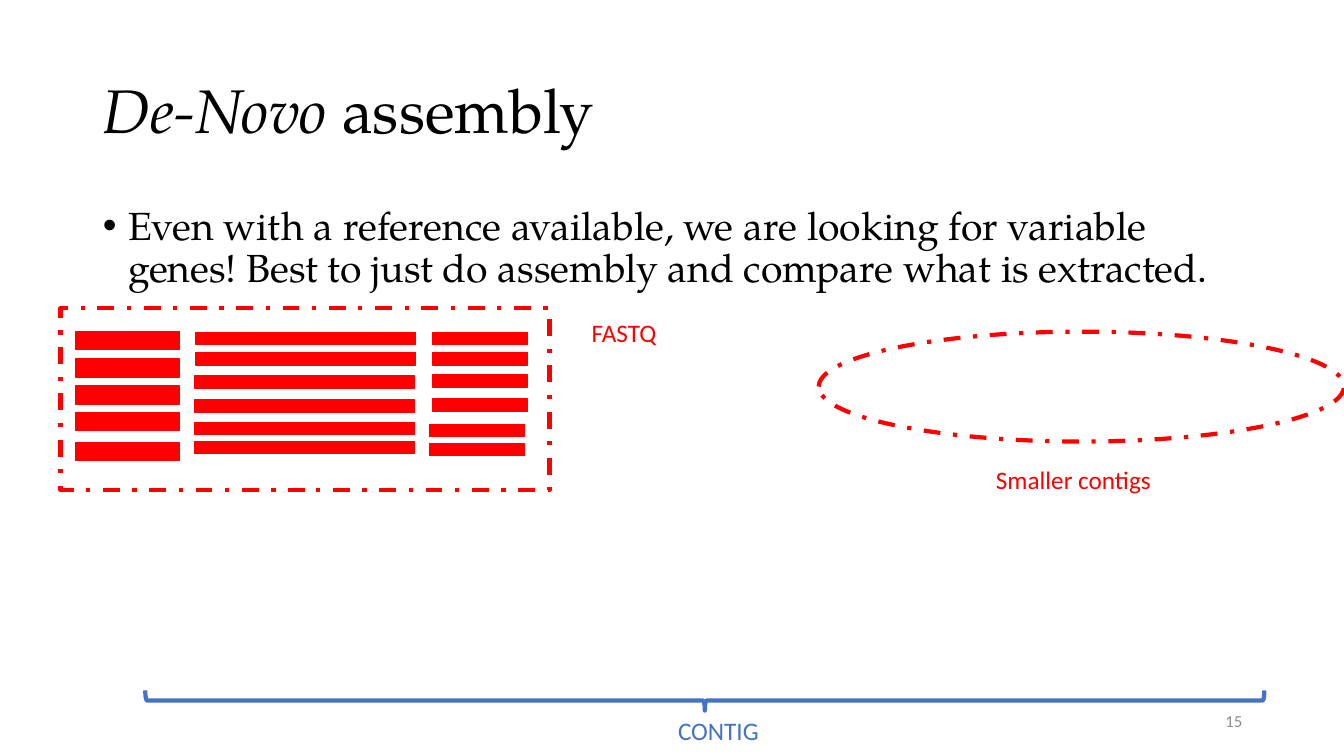
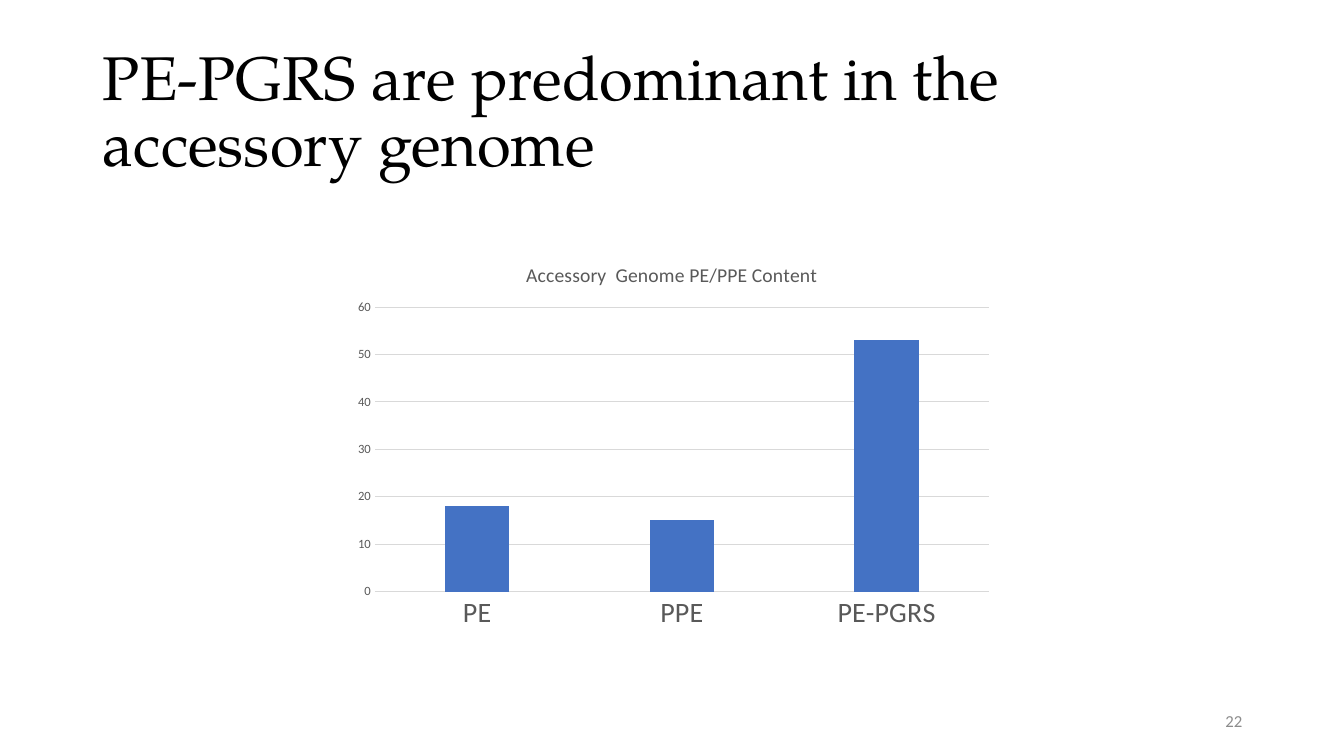
import pptx
import pptx.chart.data
import pptx.dml.color
import pptx.enum.chart
import pptx.enum.dml
import pptx.enum.shapes
import pptx.enum.text
import pptx.oxml
import pptx.util
from lxml import etree

RGBColor = pptx.dml.color.RGBColor
MSO_SHAPE = pptx.enum.shapes.MSO_SHAPE
PP_ALIGN = pptx.enum.text.PP_ALIGN
ANCHOR = pptx.enum.text.MSO_ANCHOR
AUTO_SIZE = pptx.enum.text.MSO_AUTO_SIZE
DASH_DOT = pptx.enum.dml.MSO_LINE.DASH_DOT
Pt = pptx.util.Pt

BLACK = RGBColor(0x00, 0x00, 0x00)
RED = RGBColor(0xFF, 0x00, 0x00)
BLUE = RGBColor(0x44, 0x72, 0xC4)
GRAY = RGBColor(0x8C, 0x8C, 0x8C)
AXIS_TEXT = RGBColor(0x59, 0x59, 0x59)
GRID = RGBColor(0xD9, 0xD9, 0xD9)

SERIF, SANS = "TeX Gyre Pagella", "Calibri"
EMU_PER_PX = 9144  # 100 px to the inch

SLIDE_SIZE = (1333, 750)
TITLE_BOX = (92, 40, 1150, 145)
BODY_BOX = (92, 200, 1150, 476)
NUMBER_BOX = (942, 695, 300, 40)
BULLET_INDENT = 25

TITLE_FONT = {"name": SERIF, "size": Pt(44), "color": BLACK}
BODY_FONT = {"name": SERIF, "size": Pt(28), "color": BLACK}
NUMBER_FONT = {"name": SANS, "size": Pt(12), "color": GRAY}
LABEL_FONT = {"name": SANS, "size": Pt(18)}

ASSEMBLY = {
    "title": [("De-Novo", True), (" assembly", False)],
    "number": "15",
    "point": "Even with a reference available, we are looking for variable genes! "
             "Best to just do assembly and compare what is extracted.",
}
# Reads: width, height, then (left, tops) for each run of aligned reads
READ_GROUPS = [
    (103, 18, [(75, (329, 356, 383, 409, 439))]),
    (218, 12, [(194, (330, 350)), (193, (373, 397, 419, 438))]),
    (94, 12, [(429, (330, 350, 372, 396)), (426, (421, 440))]),
]
OUTLINES = [
    (MSO_SHAPE.RECTANGLE, (60, 306, 485, 180)),
    (MSO_SHAPE.OVAL, (812, 329, 521, 109)),
]
CONTIG_BRACE = (689, 140, 20, 1110)
LABELS = [
    ("FASTQ", (577, 310, 151, 40), RED, PP_ALIGN.LEFT),
    ("Smaller contigs", (978, 456, 190, 40), RED, PP_ALIGN.LEFT),
    ("CONTIG", (577, 705, 271, 40), BLUE, PP_ALIGN.CENTER),
]

GENOME = {
    "title": [("PE-PGRS are predominant in the accessory genome", False)],
    "number": "22",
    "chart_title": "Accessory  Genome PE/PPE Content",
    "series": "Series 1",
    "counts": {"PE": 18, "PPE": 15, "PE-PGRS": 53},
}
CHART_BOX = (339, 242, 655, 392)
PLOT_LAYOUT = {"x": 0.05, "y": 0.16, "w": 0.93, "h": 0.72}


def px(length):
    return pptx.util.Emu(length * EMU_PER_PX)


def box(lengths):
    return [px(length) for length in lengths]


def set_font(font, style):
    for key, value in style.items():
        if key == "color":
            font.color.rgb = value
        else:
            setattr(font, key, value)


def place(holder, lengths):
    holder.left, holder.top, holder.width, holder.height = box(lengths)
    holder.text_frame.auto_size = AUTO_SIZE.NONE


def add_label(slide, text, lengths, style, align, **frame_format):
    frame = slide.shapes.add_textbox(*box(lengths)).text_frame
    frame.word_wrap = True
    for key, value in frame_format.items():
        setattr(frame, key, value)
    line = frame.paragraphs[0]
    line.alignment = align
    run = line.add_run()
    run.text = text
    set_font(run.font, style)


def add_outline(slide, kind, lengths, color, weight, fill=None, dash=None):
    shape = slide.shapes.add_shape(kind, *box(lengths))
    shape.shadow.inherit = False
    if fill is None:
        shape.fill.background()
    else:
        shape.fill.solid()
        shape.fill.fore_color.rgb = fill
    shape.line.color.rgb = color
    shape.line.width = Pt(weight)
    if dash is not None:
        shape.line.dash_style = dash
    return shape


def start_slide(deck, layout, content):
    """Add a slide with the shared title style and page number."""
    slide = deck.slides.add_slide(deck.slide_layouts[layout])
    title = slide.shapes.title
    place(title, TITLE_BOX)
    title.text_frame.vertical_anchor = ANCHOR.MIDDLE
    heading = title.text_frame.paragraphs[0]
    heading.alignment = PP_ALIGN.LEFT
    heading.line_spacing = 0.9
    for text, italic in content["title"]:
        run = heading.add_run()
        run.text = text
        set_font(run.font, {**TITLE_FONT, "italic": italic})
    add_label(slide, content["number"], NUMBER_BOX, NUMBER_FONT, PP_ALIGN.RIGHT,
              vertical_anchor=ANCHOR.MIDDLE)
    return slide


def build_assembly(deck):
    slide = start_slide(deck, 1, ASSEMBLY)
    body = slide.placeholders[1]
    place(body, BODY_BOX)
    point = body.text_frame.paragraphs[0]
    properties = point._p.get_or_add_pPr()
    properties.set("marL", str(px(BULLET_INDENT)))
    properties.set("indent", str(px(-BULLET_INDENT)))
    point.line_spacing = 0.9
    point.space_before = Pt(0)
    run = point.add_run()
    run.text = ASSEMBLY["point"]
    set_font(run.font, BODY_FONT)

    for kind, lengths in OUTLINES:
        add_outline(slide, kind, lengths, RED, 3, dash=DASH_DOT)
    for width, height, runs in READ_GROUPS:
        for left, tops in runs:
            for top in tops:
                add_outline(slide, MSO_SHAPE.RECTANGLE, (left, top, width, height),
                            RED, 1, fill=RED)
    brace = add_outline(slide, MSO_SHAPE.RIGHT_BRACE, CONTIG_BRACE, BLUE, 3)
    brace.rotation = 90
    for text, lengths, color, align in LABELS:
        add_label(slide, text, lengths, {**LABEL_FONT, "color": color}, align,
                  auto_size=AUTO_SIZE.SHAPE_TO_FIT_TEXT)


def fix_plot_area(chart):
    """Set the inner plot area as fractions of the chart."""
    plot_area = chart._chartSpace.chart.plotArea
    for old in plot_area.findall(pptx.oxml.ns.qn("c:layout")):
        plot_area.remove(old)
    layout = etree.Element(pptx.oxml.ns.qn("c:layout"))
    manual = etree.SubElement(layout, pptx.oxml.ns.qn("c:manualLayout"))
    settings = {"layoutTarget": "inner", "xMode": "edge", "yMode": "edge", **PLOT_LAYOUT}
    for tag, value in settings.items():
        etree.SubElement(manual, pptx.oxml.ns.qn("c:" + tag)).set("val", str(value))
    plot_area.insert(0, layout)


def build_genome(deck):
    slide = start_slide(deck, 5, GENOME)
    data = pptx.chart.data.CategoryChartData()
    data.categories = list(GENOME["counts"])
    data.add_series(GENOME["series"], list(GENOME["counts"].values()))
    chart = slide.shapes.add_chart(pptx.enum.chart.XL_CHART_TYPE.COLUMN_CLUSTERED,
                                   *box(CHART_BOX), data).chart
    set_font(chart.font, {"name": SANS, "size": Pt(10), "color": BLACK})
    chart.has_legend = False
    chart.has_title = True
    heading = chart.chart_title.text_frame
    heading.text = GENOME["chart_title"]
    set_font(heading.paragraphs[0].runs[0].font,
             {"name": SANS, "size": Pt(14), "bold": False, "color": AXIS_TEXT})

    plot = chart.plots[0]
    for key, value in {"gap_width": 219, "overlap": -27, "vary_by_categories": False}.items():
        setattr(plot, key, value)
    bars = plot.series[0].format.fill
    bars.solid()
    bars.fore_color.rgb = BLUE

    categories, counts = chart.category_axis, chart.value_axis
    for axis, size in ((categories, 20), (counts, 9)):
        axis.major_tick_mark = axis.minor_tick_mark = pptx.enum.chart.XL_TICK_MARK.NONE
        set_font(axis.tick_labels.font, {"name": SANS, "size": Pt(size), "color": AXIS_TEXT})
    counts.minimum_scale, counts.maximum_scale, counts.major_unit = 0, 60, 10
    counts.format.line.fill.background()
    for line in (categories.format.line, counts.major_gridlines.format.line):
        line.color.rgb = GRID
        line.width = Pt(0.75)
    fix_plot_area(chart)


def main():
    deck = pptx.Presentation()
    deck.slide_width, deck.slide_height = box(SLIDE_SIZE)
    build_assembly(deck)
    build_genome(deck)
    deck.save("out.pptx")


if __name__ == "__main__":
    main()
